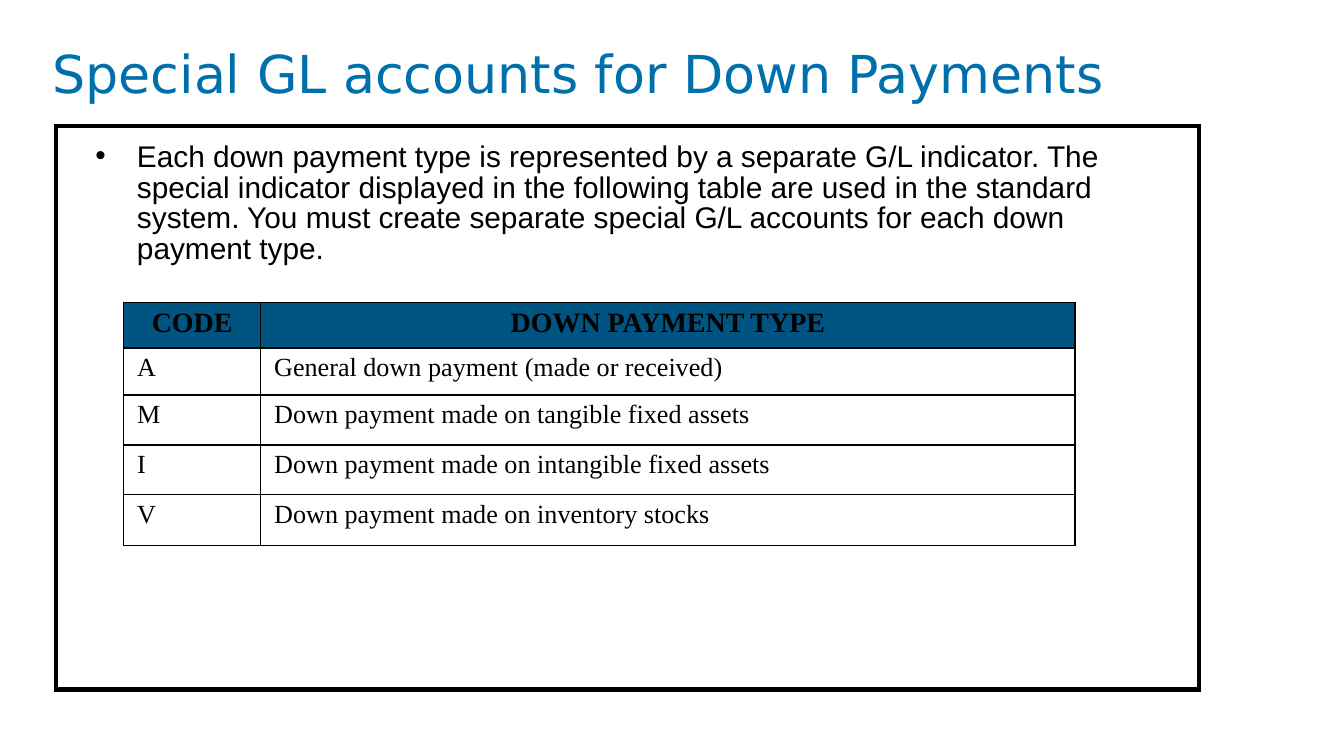
"""Build a slide on special GL accounts for down payments."""
from lxml import etree
from pptx import Presentation
from pptx.dml.color import RGBColor
from pptx.enum.shapes import MSO_SHAPE
from pptx.enum.text import MSO_ANCHOR, PP_ALIGN
from pptx.oxml.ns import qn
from pptx.util import Inches, Pt

RECTANGLE = MSO_SHAPE.RECTANGLE
TOP = MSO_ANCHOR.TOP
LEFT, CENTER = PP_ALIGN.LEFT, PP_ALIGN.CENTER

BLUE = RGBColor(0x00, 0x70, 0xAD)
HEADER_BLUE = RGBColor(0x00, 0x54, 0x81)
BLACK = RGBColor(0x00, 0x00, 0x00)
WHITE = RGBColor(0xFF, 0xFF, 0xFF)

TITLE = "Special GL accounts for Down Payments"
EXPLANATION = (
    "Each down payment type is represented by a separate G/L indicator. "
    "The special indicator displayed in the following table are used in the "
    "standard system. You must create separate special G/L accounts for each "
    "down payment type."
)
PAYMENT_TYPES = [
    ("CODE", "DOWN PAYMENT TYPE"),
    ("A", "General down payment (made or received)"),
    ("M", "Down payment made on tangible fixed assets"),
    ("I", "Down payment made on intangible fixed assets"),
    ("V", "Down payment made on inventory stocks"),
]
COLUMN_WIDTHS = [1.02, 6.06]
ROW_HEIGHTS = [0.34, 0.35, 0.37, 0.37, 0.38]


def set_font(paragraph, name, size, color, bold=False):
    font = paragraph.font
    font.name = name
    font.size = Pt(size)
    font.bold = bold
    font.color.rgb = color


def add_text(slide, text, left, top, width, height):
    box = slide.shapes.add_textbox(
        Inches(left), Inches(top), Inches(width), Inches(height))
    frame = box.text_frame
    frame.word_wrap = True
    frame.vertical_anchor = TOP
    frame.margin_left = frame.margin_right = 0
    frame.margin_top = frame.margin_bottom = 0
    paragraph = frame.paragraphs[0]
    paragraph.text = text
    return paragraph


def add_title(slide):
    title = add_text(slide, TITLE, 0.39, 0.36, 9.55, 0.55)
    title.line_spacing = 0.9
    set_font(title, "DejaVu Sans", 28, BLUE)


def add_explanation(slide):
    explanation = add_text(slide, EXPLANATION, 0.71, 1.06, 7.96, 3.81)
    explanation.line_spacing = Pt(16.5)
    explanation.space_after = Pt(4.5)
    properties = explanation._p.get_or_add_pPr()
    properties.set("marL", str(Inches(0.31)))
    properties.set("indent", str(Inches(-0.31)))
    etree.SubElement(properties, qn("a:buFont"), typeface="Arial")
    etree.SubElement(properties, qn("a:buChar"), char="•")
    set_font(explanation, "Arial", 16, BLACK)


def add_borders(cell):
    properties = cell._tc.get_or_add_tcPr()
    for side in ("lnL", "lnR", "lnT", "lnB"):
        border = etree.SubElement(properties, qn(f"a:{side}"), w=str(Pt(1)))
        fill = etree.SubElement(border, qn("a:solidFill"))
        etree.SubElement(fill, qn("a:srgbClr"), val=str(BLACK))


def fill_cell(cell, text, is_header):
    add_borders(cell)
    cell.fill.solid()
    cell.fill.fore_color.rgb = HEADER_BLUE if is_header else WHITE
    cell.margin_left = cell.margin_right = Inches(0.1)
    cell.margin_top = cell.margin_bottom = Inches(0.04)
    paragraph = cell.text_frame.paragraphs[0]
    paragraph.text = text
    paragraph.alignment = CENTER if is_header else LEFT
    set_font(paragraph, "Times New Roman", 15 if is_header else 14, BLACK, is_header)


def add_payment_table(slide):
    table = slide.shapes.add_table(
        len(ROW_HEIGHTS), len(COLUMN_WIDTHS), Inches(0.92), Inches(2.25),
        Inches(sum(COLUMN_WIDTHS)), Inches(sum(ROW_HEIGHTS))).table
    table.horz_banding = False
    for column, width in zip(table.columns, COLUMN_WIDTHS):
        column.width = Inches(width)
    for index, (row, height) in enumerate(zip(table.rows, ROW_HEIGHTS)):
        row.height = Inches(height)
        for cell, text in zip(row.cells, PAYMENT_TYPES[index]):
            fill_cell(cell, text, index == 0)


def add_frame(slide):
    frame = slide.shapes.add_shape(
        RECTANGLE, Inches(0.42), Inches(0.94), Inches(8.5), Inches(4.19))
    frame.shadow.inherit = False
    frame.fill.background()
    frame.line.color.rgb = BLACK
    frame.line.width = Pt(2.25)
    outline = frame.line._get_or_add_ln()
    etree.SubElement(outline, qn("a:miter"), lim="800000")


def main():
    presentation = Presentation()
    presentation.slide_width = Inches(10)
    presentation.slide_height = presentation.slide_width * 9 // 16
    slide = presentation.slides.add_slide(presentation.slide_layouts[6])
    add_title(slide)
    add_explanation(slide)
    add_payment_table(slide)
    add_frame(slide)
    presentation.save("out.pptx")


if __name__ == "__main__":
    main()
